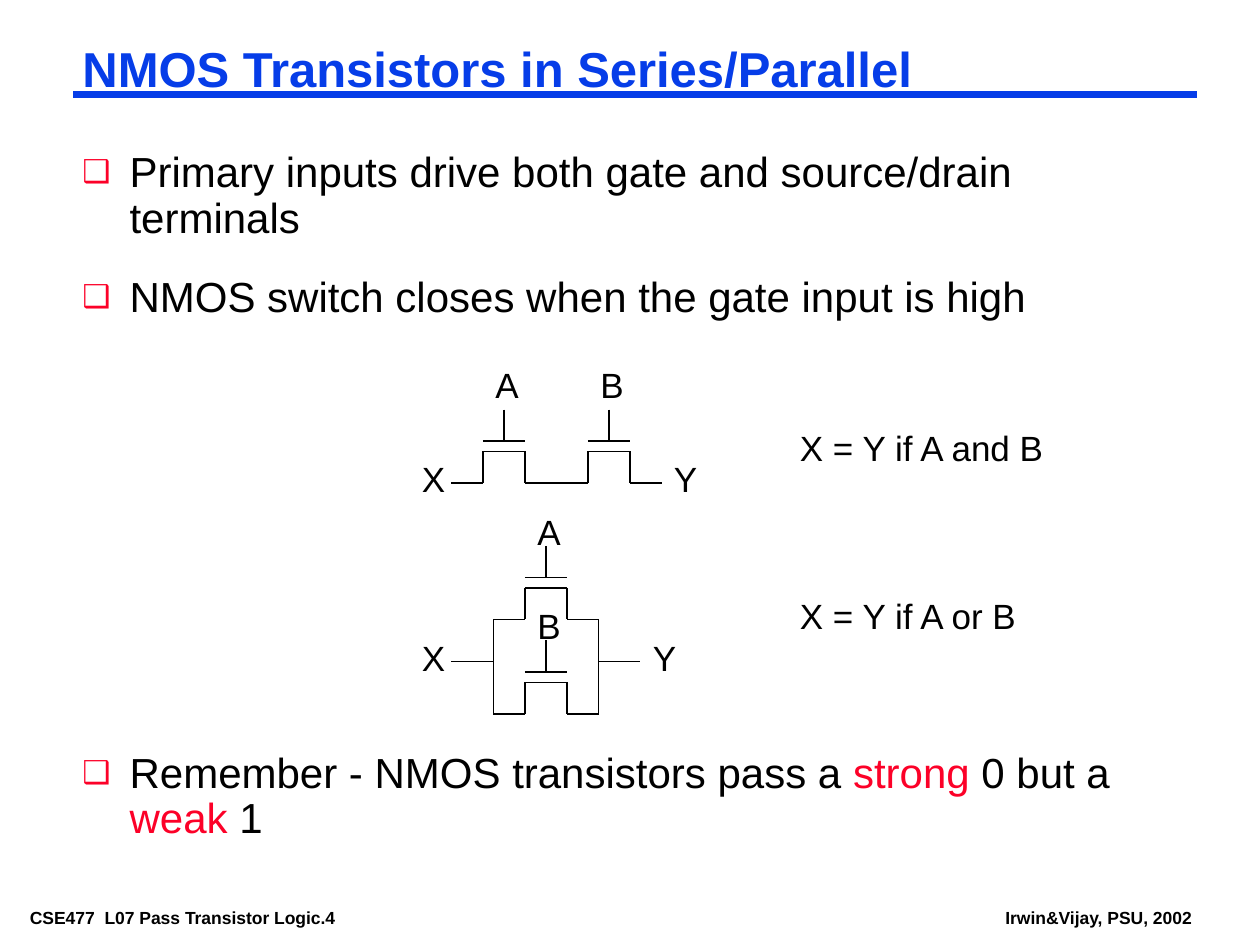
from typing import NamedTuple

from lxml.etree import SubElement
from pptx import Presentation
from pptx.dml.color import RGBColor
from pptx.enum.shapes import MSO_CONNECTOR as Connector
from pptx.enum.text import MSO_ANCHOR as Anchor, MSO_AUTO_SIZE as AutoSize, PP_ALIGN as Align
from pptx.oxml.ns import qn
from pptx.util import Cm, Pt

BLACK = RGBColor(0x00, 0x00, 0x00)
BLUE = RGBColor(0x06, 0x3D, 0xE8)
RED = RGBColor(0xFC, 0x01, 0x28)
FONT = "Arial"

SLIDE_WIDTH, SLIDE_HEIGHT = Cm(25.4), Cm(19.05)
STEP = SLIDE_WIDTH // 120  # drawing grid: 120 steps across the slide
INDENT = Cm(0.95)
NARROW_INSETS = (Cm(0.18), Cm(0.09))
LABEL_INSETS = (Cm(0.25), Cm(0.13))


class Line(NamedTuple):
    x1: float
    y1: float
    x2: float
    y2: float


class Spot(NamedTuple):
    x: float
    y: float


class Label(NamedTuple):
    text: str
    x: float
    y: float
    width: float = 4.7


class Bullet(NamedTuple):
    phrases: tuple  # (text, colour) pairs
    space_before: float = 19.5


# Transistor outline, measured from the left end of its channel
TRANSISTOR = (
    Line(0, 0, 0, 3), Line(0, 0, 4, 0), Line(4, 0, 4, 3), Line(0, -1, 4, -1),
    Line(4, 3, 7, 3), Line(2, -4, 2, -1), Line(-3, 3, 0, 3),
)
TRANSISTOR_SPOTS = (Spot(46, 43), Spot(56, 43), Spot(50, 56), Spot(50, 65))
PARALLEL_WIRES = (
    Line(47, 59, 47, 68), Line(57, 59, 57, 68), Line(43, 63, 47, 63), Line(57, 63, 61, 63),
)
LABELS = (
    Label("A", 46, 34), Label("B", 56, 34), Label("X", 39, 43), Label("Y", 63, 43),
    Label("X = Y if A and B", 75, 40, 30),
    Label("A", 50, 48), Label("B", 50, 57), Label("X", 39, 60), Label("Y", 61, 60),
    Label("X = Y if A or B", 75, 56, 30),
)
FOOTERS = (
    Label("CSE477  L07 Pass Transistor Logic.4", 2, 86, 38),
    Label("Irwin&Vijay, PSU, 2002", 94.9, 86, 20),
)
BULLETS = (
    Bullet((("Primary inputs drive both gate and source/drain terminals", BLACK),)),
    Bullet((("NMOS switch closes when the gate input is high", BLACK),)),
    # The large space leaves room for the circuits
    Bullet((("Remember - NMOS transistors pass a ", BLACK), ("strong", RED),
            (" 0 but a ", BLACK), ("weak", RED), (" 1", BLACK)), 246),
)


def grid(steps: float) -> int:
    return round(steps * STEP)


def place(shape, x: float, y: float, width: float, height: float) -> None:
    shape.left, shape.top = grid(x), grid(y)
    shape.width, shape.height = grid(width), grid(height)


def prepare_frame(frame, insets: tuple) -> None:
    frame.word_wrap = True
    frame.auto_size = AutoSize.NONE
    frame.vertical_anchor = Anchor.TOP
    frame.margin_left = frame.margin_right = insets[0]
    frame.margin_top = frame.margin_bottom = insets[1]


def add_span(para, text: str, *, size: float, color: RGBColor = BLACK, bold: bool = False) -> None:
    span = para.add_run()
    span.text = text
    span.font.name = FONT
    span.font.size = Pt(size)
    span.font.bold = bold
    span.font.color.rgb = color


def add_label(page, label: Label, *, height: float, size: float,
              bold: bool = False, insets: tuple = LABEL_INSETS) -> None:
    box = page.shapes.add_textbox(0, 0, 0, 0)
    place(box, label.x, label.y, label.width, height)
    prepare_frame(box.text_frame, insets)
    add_span(box.text_frame.paragraphs[0], label.text, size=size, bold=bold)


def add_line(shapes, line: Line, *, color: RGBColor = BLACK, width: float = 1) -> None:
    wire = shapes.add_connector(Connector.STRAIGHT, *map(grid, line))
    wire.line.color.rgb = color
    wire.line.width = Pt(width)
    SubElement(wire.element.spPr, qn("a:effectLst"))


def add_transistor(page, spot: Spot) -> None:
    group = page.shapes.add_group_shape()
    for x1, y1, x2, y2 in TRANSISTOR:
        add_line(group.shapes, Line(spot.x + x1, spot.y + y1, spot.x + x2, spot.y + y2))


def set_bullet(para) -> None:
    props = para._p.get_or_add_pPr()
    props.set("marL", str(INDENT))
    props.set("indent", str(-INDENT))
    SubElement(SubElement(props, qn("a:buClr")), qn("a:srgbClr")).set("val", str(RED))
    SubElement(props, qn("a:buSzPct")).set("val", "75000")
    SubElement(props, qn("a:buFont")).set("typeface", FONT)
    SubElement(props, qn("a:buChar")).set("char", "❑")


def fill_title(page) -> None:
    title = page.shapes.title
    place(title, 7, 4, 107, 5.5)
    prepare_frame(title.text_frame, NARROW_INSETS)
    para = title.text_frame.paragraphs[0]
    para.alignment = Align.LEFT
    para.line_spacing = 0.87
    add_span(para, "NMOS Transistors in Series/Parallel", size=28, color=BLUE, bold=True)


def fill_body(page) -> None:
    body = page.placeholders[1]
    place(body, 7, 14, 102, 66.6)
    frame = body.text_frame
    prepare_frame(frame, NARROW_INSETS)
    for index, bullet in enumerate(BULLETS):
        para = frame.add_paragraph() if index else frame.paragraphs[0]
        para.line_spacing = 0.9
        para.space_before = Pt(bullet.space_before)
        set_bullet(para)
        for text, color in bullet.phrases:
            add_span(para, text, size=24, color=color)


deck = Presentation()
deck.slide_width, deck.slide_height = SLIDE_WIDTH, SLIDE_HEIGHT
page = deck.slides.add_slide(deck.slide_layouts[1])

# Title, rule and list
fill_title(page)
add_line(page.shapes, Line(7, 9, 114, 9), color=BLUE, width=4.5)
fill_body(page)

# Series and parallel circuits
for spot in TRANSISTOR_SPOTS:
    add_transistor(page, spot)
for wire_line in PARALLEL_WIRES:
    add_line(page.shapes, wire_line)
for label in LABELS:
    add_label(page, label, height=5.25, size=20)

# Footer
for footer in FOOTERS:
    add_label(page, footer, height=2.7, size=10, bold=True, insets=NARROW_INSETS)

deck.save("out.pptx")
